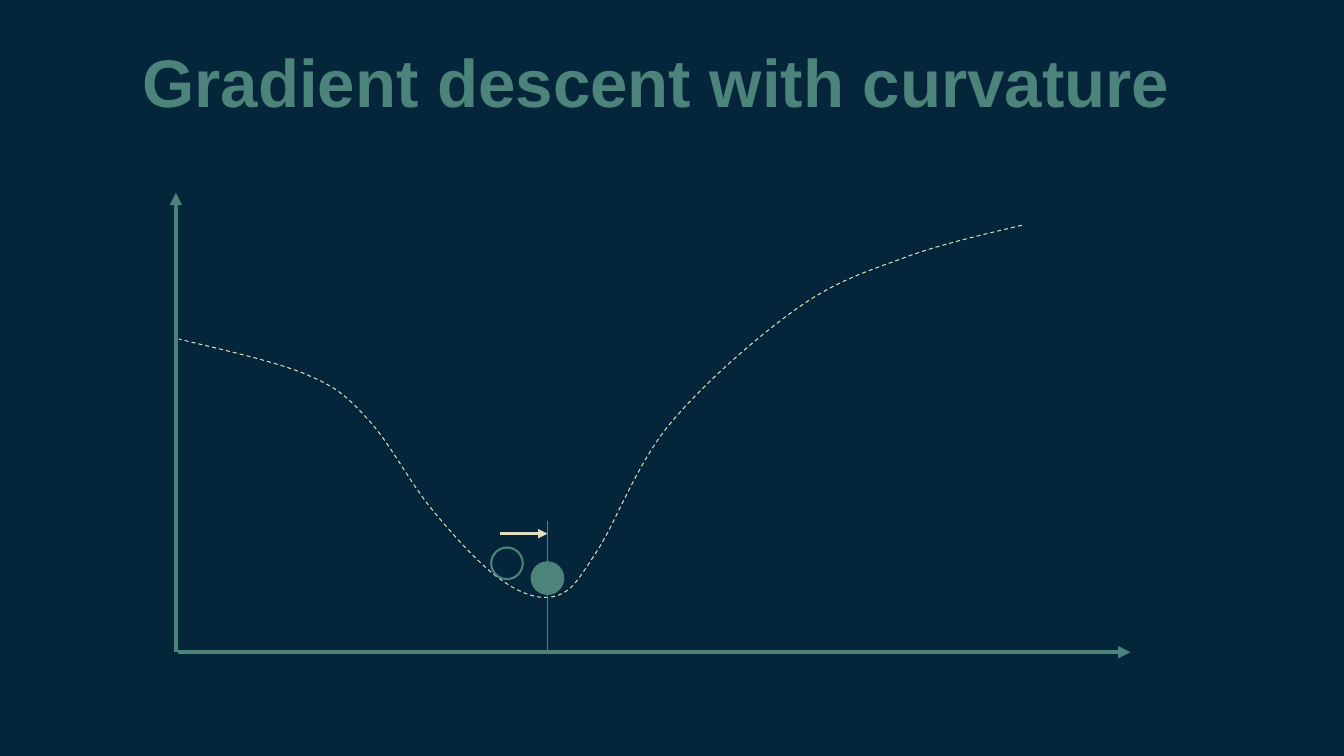
from itertools import chain
from lxml.etree import SubElement
from pptx import Presentation
from pptx.dml.color import RGBColor
from pptx.enum.dml import MSO_LINE_DASH_STYLE as Dash
from pptx.enum.shapes import MSO_CONNECTOR as Connector, MSO_SHAPE as Shape
from pptx.enum.text import MSO_ANCHOR as Anchor
from pptx.oxml.ns import qn
from pptx.util import Inches, Pt

COLORS = {"night": "04253A", "teal": "4C837A", "cream": "E1DDBF"}

CURVE_START = (10.34, 2.28)
CURVE_SEGMENTS = [
    [(10.14, 2.33), (9.5, 2.47), (9.12, 2.62)],
    [(8.73, 2.76), (8.43, 2.86), (8.04, 3.14)],
    [(7.65, 3.42), (7.11, 3.89), (6.78, 4.29)],
    [(6.44, 4.7), (6.23, 5.29), (6.04, 5.58)],
    [(5.85, 5.87), (5.79, 5.98), (5.63, 6.03)],
    [(5.46, 6.08), (5.27, 6.01), (5.06, 5.86)],
    [(4.85, 5.71), (4.58, 5.41), (4.36, 5.14)],
    [(4.14, 4.87), (3.93, 4.46), (3.72, 4.24)],
    [(3.51, 4.01), (3.41, 3.92), (3.1, 3.79)],
    [(2.78, 3.65), (2.03, 3.49), (1.81, 3.43)],
]


class SlideBuilder:
    font = "Arial"

    def __init__(self, deck):
        self.page = deck.slides.add_slide(deck.slide_layouts[6])
        self.shapes = self.page.shapes
        background = self.page.background.fill
        background.solid()
        background.fore_color.rgb = self.color("night")

    def color(self, name):
        return RGBColor.from_string(COLORS[name])

    def apply(self, target, values):
        for name, value in values.items():
            setattr(target, name, value)

    def outline(self, element, color, width):
        element.line.color.rgb = self.color(color)
        element.line.width = Pt(width)

    def title(self, text, left, top, width, height, size):
        box = self.shapes.add_textbox(*map(Inches, (left, top, width, height)))
        frame = box.text_frame
        self.apply(frame, {
            "word_wrap": True,
            "vertical_anchor": Anchor.TOP,
            "margin_left": Inches(0.14),
            "margin_right": Inches(0.14),
            "margin_top": Inches(0.2),
            "margin_bottom": Inches(0.14),
        })
        span = frame.paragraphs[0].add_run()
        span.text = text
        self.apply(span.font, {"name": self.font, "size": Pt(size), "bold": True})
        span.font.color.rgb = self.color("teal")

    def line(self, start, end, color, width, arrow=False):
        connector = self.shapes.add_connector(
            Connector.STRAIGHT, *map(Inches, (*start, *end)))
        self.outline(connector, color, width)
        if arrow:
            SubElement(connector.line._get_or_add_ln(), qn("a:tailEnd"), type="triangle")
        SubElement(connector._element.spPr, qn("a:effectLst"))

    def curve(self, start, segments, color, width):
        builder = self.shapes.build_freeform(*map(Inches, start), scale=1.0)
        points = [tuple(map(Inches, point)) for point in chain(*segments)]
        builder.add_line_segments(points, close=False)
        curve = builder.convert_to_shape()
        curve.shadow.inherit = False
        curve.fill.background()
        self.outline(curve, color, width)
        curve.line.dash_style = Dash.DASH
        outline_path = next(curve._element.iter(qn("a:path")))
        steps = outline_path.findall(qn("a:lnTo"))
        for first in range(0, len(steps), 3):
            bezier = SubElement(outline_path, qn("a:cubicBezTo"))
            for step in steps[first:first + 3]:
                bezier.append(step[0])
                outline_path.remove(step)

    def ball(self, left, top, diameter, color, filled):
        ball = self.shapes.add_shape(
            Shape.OVAL, *map(Inches, (left, top, diameter, diameter)))
        ball.shadow.inherit = False
        if filled:
            ball.fill.solid()
            ball.fill.fore_color.rgb = self.color(color)
        else:
            ball.fill.background()
        self.outline(ball, color, 1.5)


def main():
    deck = Presentation()
    deck.slide_width, deck.slide_height = Inches(13.6), Inches(7.65)
    slide = SlideBuilder(deck)
    base, minimum = 6.6, 5.54

    slide.title("Gradient descent with curvature", 1.3, 0.21, 11.28, 0.85, 49)
    slide.line((1.78, base), (1.78, 1.95), "teal", 3, arrow=True)
    slide.line((1.8, base), (11.44, base), "teal", 3, arrow=True)
    slide.curve(CURVE_START, CURVE_SEGMENTS, "cream", 0.75)
    slide.ball(4.97, 5.54, 0.32, "teal", filled=False)
    slide.ball(5.38, 5.69, 0.32, "teal", filled=True)
    slide.line((5.06, 5.4), (minimum, 5.4), "cream", 2.25, arrow=True)
    slide.line((minimum, 5.27), (minimum, base), "teal", 0.75)
    deck.save("out.pptx")


if __name__ == "__main__":
    main()
